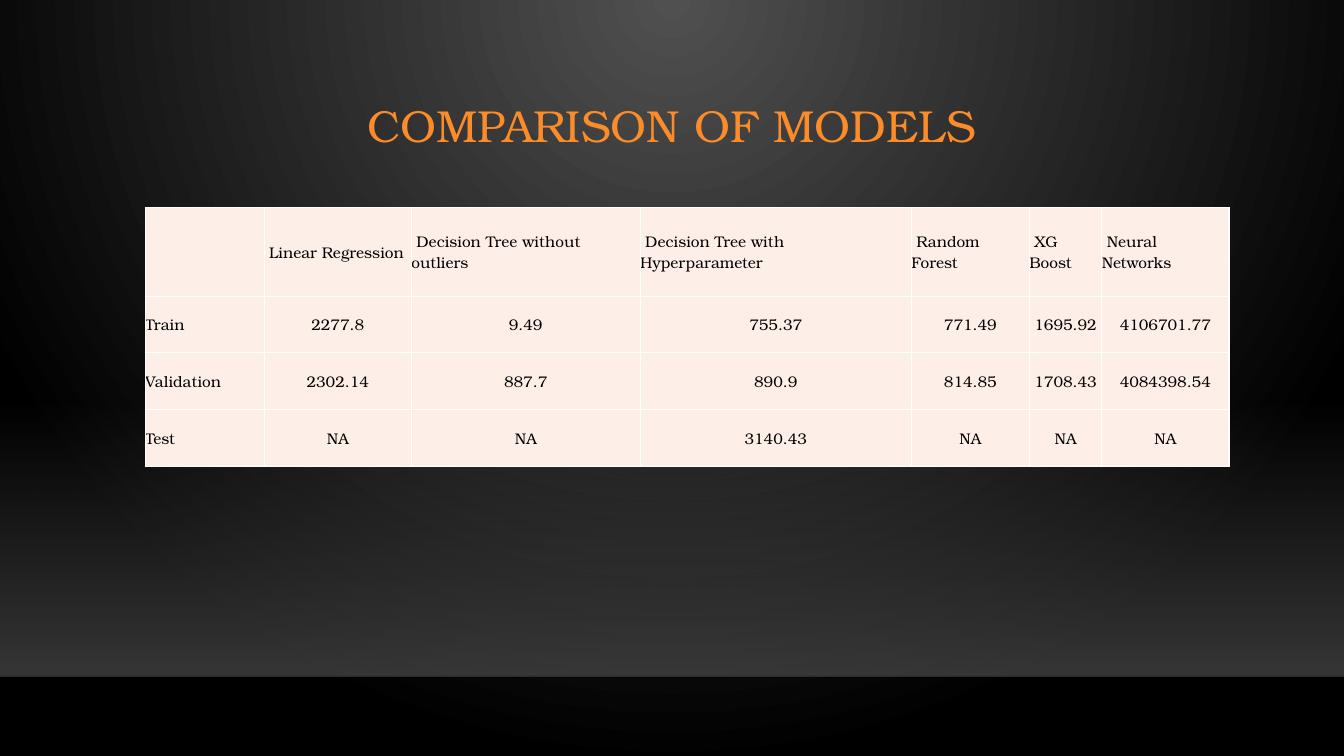
from lxml import etree
from pptx import Presentation
from pptx.dml.color import RGBColor
from pptx.enum import shapes, text
from pptx.oxml import ns
from pptx.util import Inches, Pt

TITLE = "COMPARISON OF MODELS"
HEADERS = ["", "Linear Regression", "Decision Tree without outliers",
           "Decision Tree with Hyperparameter", "Random Forest", "XG Boost",
           "Neural Networks"]
SCORES = [
    ["Train", "2277.8", "9.49", "755.37", "771.49", "1695.92", "4106701.77"],
    ["Validation", "2302.14", "887.7", "890.9", "814.85", "1708.43", "4084398.54"],
    ["Test", "NA", "NA", "3140.43", "NA", "NA", "NA"],
]

FONT = "TeX Gyre Bonum"
COLORS = {"title": "FB8C29", "text": "000000", "cell": "FEEEE8", "border": "FFFFFF",
          "glow": "505050", "edge": "000000", "floor": "454545", "horizon": "000001"}
WIDTH, HEIGHT = 13.33, 7.5
FLOOR_TOP, HORIZON = 3.96, 6.71
TITLE_BOX = (1.59, 0.98, 10.16, 1.08)
TABLE_LEFT, TABLE_TOP = 1.44, 2.06
COLUMN_WIDTHS = [1.18, 1.46, 2.27, 2.69, 1.17, 0.72, 1.26]
ROW_HEIGHTS = [0.88, 0.56, 0.56, 0.57]


def rgb(name):
    return RGBColor.from_string(COLORS[name])


def add_xml(parent, tag, **attributes):
    child = etree.SubElement(parent, ns.qn(tag))
    for key, value in attributes.items():
        child.set(key, str(value))
    return child


def add_color(parent, name, opacity=100):
    color = add_xml(parent, "a:srgbClr", val=COLORS[name])
    if opacity < 100:
        add_xml(color, "a:alpha", val=opacity * 1000)


def set_gradient(fill, stops):
    """Give fill a gradient of (position, color, opacity) stops; return its element."""
    fill.gradient()
    gradient = fill.gradient_stops[0]._gs.getparent().getparent()
    for child in list(gradient):
        gradient.remove(child)
    stop_list = add_xml(gradient, "a:gsLst")
    for position, name, opacity in stops:
        add_color(add_xml(stop_list, "a:gs", pos=position * 1000), name, opacity)
    return gradient


def write(frame, content, size, color, align=text.PP_ALIGN.LEFT, spacing=None, indent=0):
    paragraph = frame.paragraphs[0]
    paragraph.alignment = align
    if spacing:
        paragraph.line_spacing = spacing
    if indent:
        paragraph._p.get_or_add_pPr().set("indent", str(Inches(indent)))
    run = paragraph.add_run()
    run.text = content
    run.font.name, run.font.size = FONT, Pt(size)
    run.font.bold = False
    run.font.color.rgb = rgb(color)


def add_backdrop(slide):
    glow = set_gradient(slide.background.fill, [(0, "glow", 100), (100, "edge", 100)])
    path = add_xml(glow, "a:path", path="circle")
    add_xml(path, "a:fillToRect", l=43000, t=0, r=43000, b=100000)

    floor = slide.shapes.add_shape(
        shapes.MSO_SHAPE.RECTANGLE, 0, Inches(FLOOR_TOP), Inches(WIDTH),
        Inches(HORIZON - FLOOR_TOP))
    floor.shadow.inherit = False
    floor.line.fill.background()
    fade = set_gradient(floor.fill, [(0, "floor", 0), (100, "floor", 80)])
    add_xml(fade, "a:lin", ang=90 * 60000, scaled=0)

    horizon = slide.shapes.add_connector(
        shapes.MSO_CONNECTOR.STRAIGHT, 0, Inches(HORIZON), Inches(WIDTH), Inches(HORIZON))
    horizon.line.width = Pt(1)
    horizon.line.color.rgb = rgb("horizon")
    color = horizon.line._ln.find(".//" + ns.qn("a:srgbClr"))
    add_xml(color, "a:alpha", val=20000)
    add_xml(horizon._element.spPr, "a:effectLst")


def add_title(slide):
    title = slide.shapes.title
    title.left, title.top, title.width, title.height = map(Inches, TITLE_BOX)
    frame = title.text_frame
    frame.word_wrap = True
    frame.vertical_anchor = text.MSO_ANCHOR.MIDDLE
    frame.margin_bottom = Inches(0.55)
    write(frame, TITLE, 32, "title", align=text.PP_ALIGN.CENTER, spacing=0.9)
    slide.shapes._spTree.append(title._element)


def format_cell(cell):
    cell.margin_left = cell.margin_right = cell.margin_top = cell.margin_bottom = 0
    cell.vertical_anchor = text.MSO_ANCHOR.MIDDLE
    properties = cell._tc.get_or_add_tcPr()
    for side in ("L", "R", "T", "B"):
        border = add_xml(properties, f"a:ln{side}", w=Pt(1))
        add_color(add_xml(border, "a:solidFill"), "border")
    cell.fill.solid()
    cell.fill.fore_color.rgb = rgb("cell")


def add_score_table(slide):
    rows = [HEADERS] + SCORES
    table = slide.shapes.add_table(
        len(rows), len(HEADERS), Inches(TABLE_LEFT), Inches(TABLE_TOP),
        Inches(sum(COLUMN_WIDTHS)), Inches(sum(ROW_HEIGHTS))).table
    table.first_row = table.horz_banding = False
    for column, width in zip(table.columns, COLUMN_WIDTHS):
        column.width = Inches(width)
    for row, height in zip(table.rows, ROW_HEIGHTS):
        row.height = Inches(height)
    for r, values in enumerate(rows):
        for c, value in enumerate(values):
            cell = table.cell(r, c)
            format_cell(cell)
            if value:
                is_score = r > 0 and c > 0
                write(cell.text_frame, value, 11, "text",
                      align=text.PP_ALIGN.CENTER if is_score else text.PP_ALIGN.LEFT,
                      indent=0.05 if r == 0 else 0)


def main():
    presentation = Presentation()
    presentation.slide_width, presentation.slide_height = Inches(WIDTH), Inches(HEIGHT)
    slide = presentation.slides.add_slide(presentation.slide_layouts.get_by_name("Title Only"))
    add_backdrop(slide)
    add_title(slide)
    add_score_table(slide)
    presentation.save("out.pptx")


if __name__ == "__main__":
    main()
